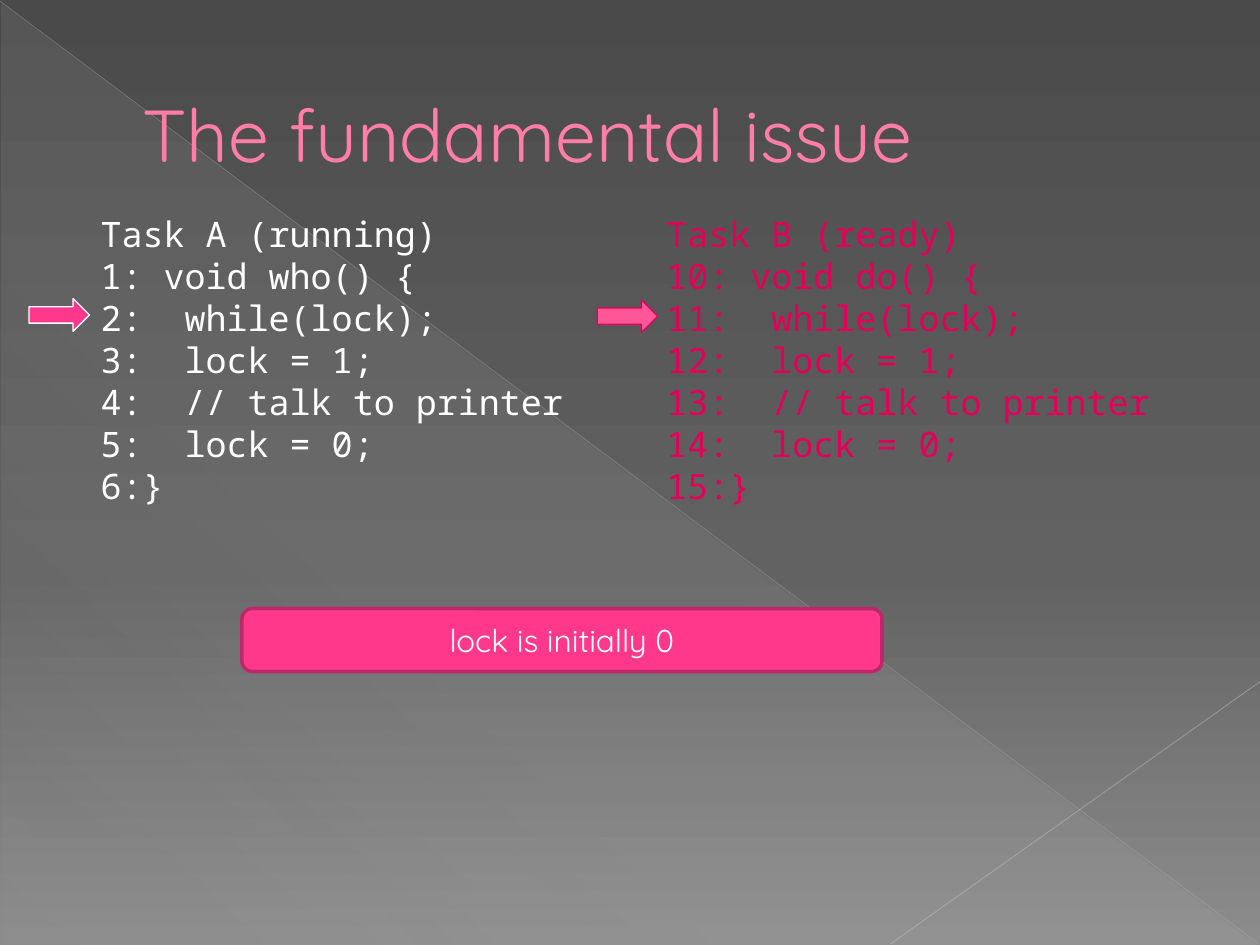
from lxml.etree import SubElement as Sub
from pptx import Presentation
from pptx.dml.color import RGBColor
from pptx.enum.shapes import MSO_CONNECTOR as Conn, MSO_SHAPE as Kind
from pptx.enum.text import MSO_ANCHOR as Anchor, PP_ALIGN as Align
from pptx.oxml.ns import qn
from pptx.util import Inches, Pt

SANS, MONO = "Quicksand", "Noto Sans Mono"
WHITE, PINK, ROSE = "FFFFFF", "FF388C", "E40059"


def color(text):
    return RGBColor.from_string(text)


def fade(node, alpha):
    Sub(node, qn("a:alpha"), val=str(int(alpha * 1000)))


def blend(grad, stops, angle):
    for child in list(grad):
        grad.remove(child)
    group = Sub(grad, qn("a:gsLst"))
    for place, tone, alpha in stops:
        stop = Sub(group, qn("a:gs"), pos=str(place * 1000))
        fade(Sub(stop, qn("a:srgbClr"), val=tone), alpha)
    Sub(grad, qn("a:lin"), ang=str(angle * 60000), scaled="0")


class Deck:
    def __init__(self):
        self.show = Presentation()
        self.show.slide_width = Inches(10)
        self.show.slide_height = Inches(7.5)
        self.slide = self.show.slides.add_slide(self.show.slide_layouts[5])
        self.items = self.slide.shapes

    def backdrop(self, stops, angle):
        self.slide.background.fill.gradient()
        blend(self.slide.element.xpath(".//p:bgPr/a:gradFill")[0], stops, angle)

    def font(self, para, name, size, tone):
        para.font.name = name
        para.font.size = Pt(size)
        para.font.color.rgb = color(tone)

    def shape(self, kind, box):
        item = self.items.add_shape(kind, *map(Inches, box))
        item.shadow.inherit = False
        return item

    def wedge(self, box, stops, angle):
        item = self.shape(Kind.RIGHT_TRIANGLE, box)
        item.fill.gradient()
        item.line.fill.background()
        blend(item.element.xpath("./p:spPr/a:gradFill")[0], stops, angle)

    def line(self, ends, tone, width, alpha):
        item = self.items.add_connector(Conn.STRAIGHT, *map(Inches, ends))
        item.line.color.rgb = color(tone)
        item.line.width = Pt(width)
        fade(item.element.xpath(".//a:ln//a:srgbClr")[0], alpha)
        Sub(item.element.spPr, qn("a:effectLst"))

    def title(self, text, box):
        item = self.items.title
        item.left, item.top, item.width, item.height = map(Inches, box)
        frame = item.text_frame
        frame.text = text
        frame.vertical_anchor = Anchor.MIDDLE
        para = frame.paragraphs[0]
        para.alignment = Align.LEFT
        para._p.get_or_add_pPr().set("marL", str(Inches(0.53)))
        self.font(para, SANS, 42, "FF7DA7")
        item.element.getparent().append(item.element)

    def code(self, lines, box, tone):
        frame = self.items.add_textbox(*map(Inches, box)).text_frame
        frame.word_wrap = True
        frame.text = "\n".join(lines)
        for para in frame.paragraphs:
            self.font(para, MONO, 20, tone)

    def block(self, kind, box, fill, edge, width, text=None):
        item = self.shape(kind, box)
        item.fill.solid()
        item.fill.fore_color.rgb = color(fill)
        item.line.color.rgb = color(edge)
        item.line.width = Pt(width)
        if text:
            frame = item.text_frame
            frame.text = text
            frame.vertical_anchor = Anchor.MIDDLE
            para = frame.paragraphs[0]
            para.alignment = Align.CENTER
            self.font(para, SANS, 18, WHITE)


deck = Deck()
deck.backdrop([(0, "4A4A4A", 100), (60, "626262", 100), (100, "8C8C8C", 100)], 90)
deck.wedge((0.01, 0.02, 9.98, 7.48),
           [(0, "D2D2D2", 10), (70, "D2D2D2", 8), (100, "D2D2D2", 1)], 133)
deck.line((0, 0.01, 9.99, 7.49), "BFBFBF", 0.39, 35)
deck.line((10, 5.41, 7.07, 7.49), "C6C6C6", 0.47, 45)
deck.title("The fundamental issue", (0.5, 0.29, 9, 1.53))

body = [" void {}() {{", "  while(lock);", "  lock = 1;",
        "  // talk to printer", "  lock = 0;", "}}"]
tasks = [("Task A (running)", "who", 1, 0.7, WHITE),
         ("Task B (ready)", "do", 10, 5.19, ROSE)]
for head, name, first, left, tone in tasks:
    lines = [f"{num}:{row.format(name)}" for num, row in enumerate(body, first)]
    deck.code([head] + lines, (left, 1.64, 4.24, 2.46), tone)

for left, top, fill, edge in [(0.23, 2.37, PINK, WHITE),
                              (4.74, 2.38, "FF5698", ROSE)]:
    deck.block(Kind.RIGHT_ARROW, (left, top, 0.48, 0.26), fill, edge, 0.75)
deck.block(Kind.ROUNDED_RECTANGLE, (1.92, 4.83, 5.08, 0.5), PINK, "BD2968", 2,
           "lock is initially 0")
deck.show.save("out.pptx")
